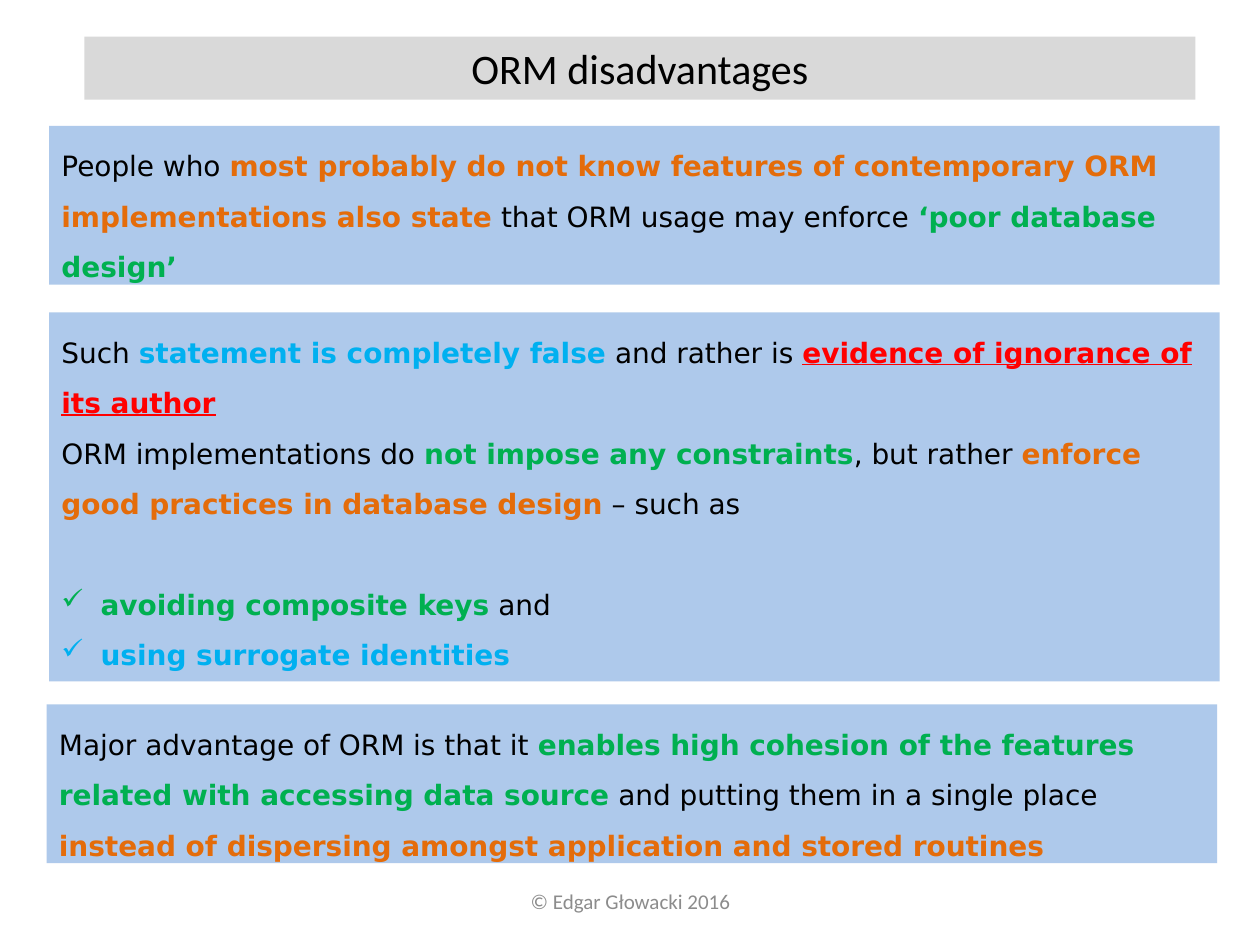
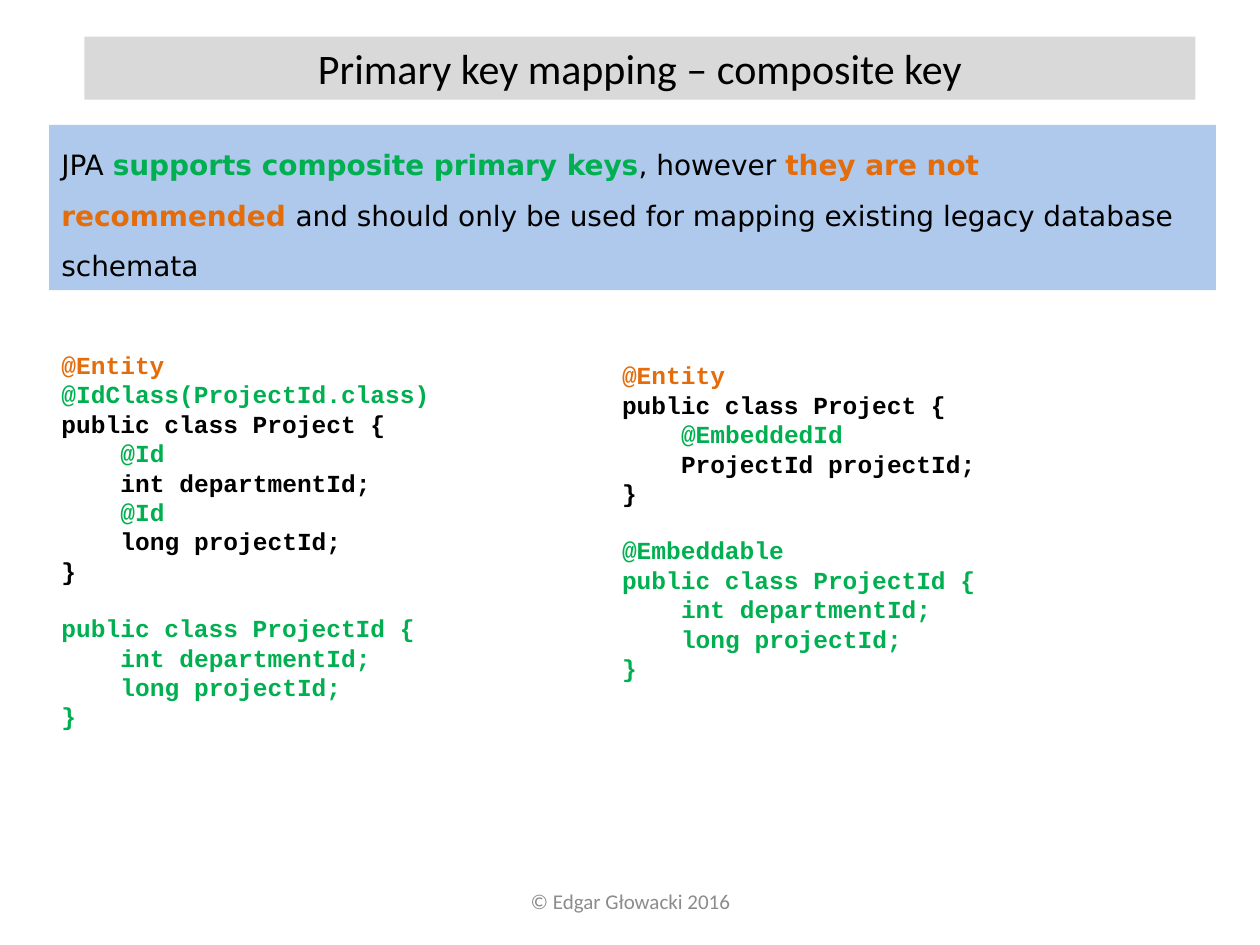
import pptx
import pptx.dml.color
import pptx.enum.shapes
import pptx.enum.text
import pptx.oxml
import pptx.oxml.ns
import pptx.util

Cm = pptx.util.Cm
Pt = pptx.util.Pt
ALIGN = pptx.enum.text.PP_ALIGN
ANCHOR = pptx.enum.text.MSO_ANCHOR

BLACK, GREY, BAND, PANEL = "000000", "8C8C8C", "D9D9D9", "8EB4E3"
ORANGE, GREEN, BLUE, RED = "E46C0A", "00B050", "00B0F0", "FF0000"
BODY_GAP = 28.7   # one empty body line, in points
CODE_GAP = 15.9   # one empty code line, in points
CODE_INDENT = 1.19  # four monospaced characters, in cm


def rgb(code):
    """Turn a hex string into a colour."""
    return pptx.dml.color.RGBColor.from_string(code)


def drawing_element(tag, **attributes):
    """Make an empty DrawingML element."""
    element = pptx.oxml.parse_xml(f"<a:{tag} {pptx.oxml.ns.nsdecls('a')}/>")
    for name, value in attributes.items():
        element.set(name, str(value))
    return element


class Deck:
    """The shared style and the page being filled."""

    def __init__(self):
        """Start a 4:3 presentation."""
        self.deck = pptx.Presentation()
        self.deck.slide_width, self.deck.slide_height = Cm(25.4), Cm(19.05)
        self.page = None

    def add_page(self, title):
        """Add a page with its footer and title band."""
        self.page = self.deck.slides.add_slide(self.deck.slide_layouts[6])
        footer = self.text_box(8.69, 17.65, 8.04, 1.02)
        footer.text_frame.vertical_anchor = ANCHOR.MIDDLE
        self.centred(footer, "© Edgar Głowacki 2016", 12, GREY)
        band = self.rectangle(1.7, 0.74, 22.4, 1.27, BAND)
        self.centred(band, title, 24, BLACK)

    def text_box(self, left, top, width, height):
        """Add a wrapping text box."""
        box = self.page.shapes.add_textbox(Cm(left), Cm(top), Cm(width), Cm(height))
        box.text_frame.word_wrap = True
        return box

    def rectangle(self, left, top, width, height, fill):
        """Add a filled rectangle without outline, its text at the top."""
        box = self.page.shapes.add_shape(
            pptx.enum.shapes.MSO_SHAPE.RECTANGLE,
            Cm(left), Cm(top), Cm(width), Cm(height))
        box.shadow.inherit = False
        box.fill.solid()
        box.fill.fore_color.rgb = rgb(fill)
        box.line.fill.background()
        box.text_frame.word_wrap = True
        box.text_frame.vertical_anchor = ANCHOR.TOP
        return box

    def span(self, para, text, size, font, color, bold=False, underline=False):
        """Add one run of text."""
        span = para.add_run()
        span.text = text
        span.font.size, span.font.name = Pt(size), font
        span.font.color.rgb = rgb(color)
        span.font.bold, span.font.underline = bold, underline

    def centred(self, box, text, size, color):
        """Write one centred line."""
        para = box.text_frame.paragraphs[0]
        para.alignment = ALIGN.CENTER
        self.span(para, text, size, "Calibri", color)

    def paragraph(self, box, index):
        """Return the first paragraph, or a new one after it."""
        frame = box.text_frame
        para = frame.add_paragraph() if index else frame.paragraphs[0]
        para.alignment = ALIGN.LEFT
        return para

    def bullet(self, para):
        """Give a paragraph a hanging check mark."""
        properties = para._p.get_or_add_pPr()
        properties.set("marL", str(Cm(0.79)))
        properties.set("indent", str(-Cm(0.79)))
        properties.append(drawing_element("buChar", char="✓"))

    def panel(self, left, top, width, height, paragraphs, checks=()):
        """Add a translucent panel; coloured spans are bold, red underlined."""
        box = self.rectangle(left, top, width, height, PANEL)
        color = box.fill._xPr.find(".//" + pptx.oxml.ns.qn("a:srgbClr"))
        color.append(drawing_element("alpha", val=71000))
        for index, spans in enumerate([*paragraphs, *checks]):
            para = self.paragraph(box, index)
            para.line_spacing = 1.5
            if index == len(paragraphs):
                para.space_before = Pt(BODY_GAP)
            if index >= len(paragraphs):
                self.bullet(para)
            for text, color in spans:
                self.span(para, text, 16, "DejaVu Sans", color,
                          color != BLACK, color == RED)

    def code(self, left, top, width, height, *blocks):
        """Add code blocks, each a list of (indent level, text, colour)."""
        box = self.text_box(left, top, width, height)
        lines = [(number, *line) for block in blocks
                 for number, line in enumerate(block)]
        for index, (number, level, text, color) in enumerate(lines):
            para = self.paragraph(box, index)
            if index and number == 0:
                para.space_before = Pt(CODE_GAP)
            if level:
                para._p.get_or_add_pPr().set("marL", str(Cm(CODE_INDENT * level)))
            self.span(para, text, 14, "Courier New", color, True)


def disadvantages(deck):
    """Build the page on ORM disadvantages."""
    deck.add_page("ORM disadvantages")
    deck.panel(0.99, 2.54, 23.6, 3.2, [[
        ("People who ", BLACK),
        ("most probably do not know features of contemporary ORM "
         "implementations also state", ORANGE),
        (" that ORM usage may enforce ", BLACK),
        ("‘poor database design’", GREEN)]])
    deck.panel(0.99, 6.3, 23.6, 7.44, [
        [("Such ", BLACK), ("statement is completely false", BLUE),
         (" and rather is ", BLACK),
         ("evidence of ignorance of its author", RED)],
        [("ORM implementations do ", BLACK),
         ("not impose any constraints", GREEN), (", but rather ", BLACK),
         ("enforce good practices in database design", ORANGE),
         (" – such as", BLACK)],
    ], checks=[
        [("avoiding composite keys", GREEN), (" and", BLACK)],
        [("using surrogate identities", BLUE)]])
    deck.panel(0.94, 14.2, 23.6, 3.2, [[
        ("Major advantage of ORM is that it ", BLACK),
        ("enables high cohesion of the features related with accessing "
         "data source", GREEN),
        (" and putting them in a single place ", BLACK),
        ("instead of dispersing amongst application and stored routines",
         ORANGE)]])


def composite_key(deck):
    """Build the page on composite primary keys."""
    deck.add_page("Primary key mapping – composite key")
    fields = [(1, "int departmentId;"), (1, "long projectId;")]
    key_class = [(level, text, GREEN) for level, text in
                 [(0, "public class ProjectId {"), *fields, (0, "}")]]
    deck.code(0.99, 6.93, 10.11, 8.03, [
        (0, "@Entity", ORANGE),
        (0, "@IdClass(ProjectId.class)", GREEN),
        (0, "public class Project {", BLACK),
        *[line for level, text in fields
          for line in [(1, "@Id", GREEN), (level, text, BLACK)]],
        (0, "}", BLACK),
    ], key_class)
    deck.panel(0.99, 2.52, 23.52, 3.33, [[
        ("JPA ", BLACK), ("supports composite primary keys", GREEN),
        (", however ", BLACK), ("they are not recommended ", ORANGE),
        ("and should only be used for mapping existing legacy database "
         "schemata", BLACK)]])
    deck.code(12.29, 7.14, 11.53, 6.83, [
        (0, "@Entity", ORANGE),
        (0, "public class Project {", BLACK),
        (1, "@EmbeddedId", GREEN),
        (1, "ProjectId projectId;", BLACK),
        (0, "}", BLACK),
    ], [(0, "@Embeddable", GREEN), *key_class])


show = Deck()
disadvantages(show)
composite_key(show)
show.deck.save("out.pptx")
